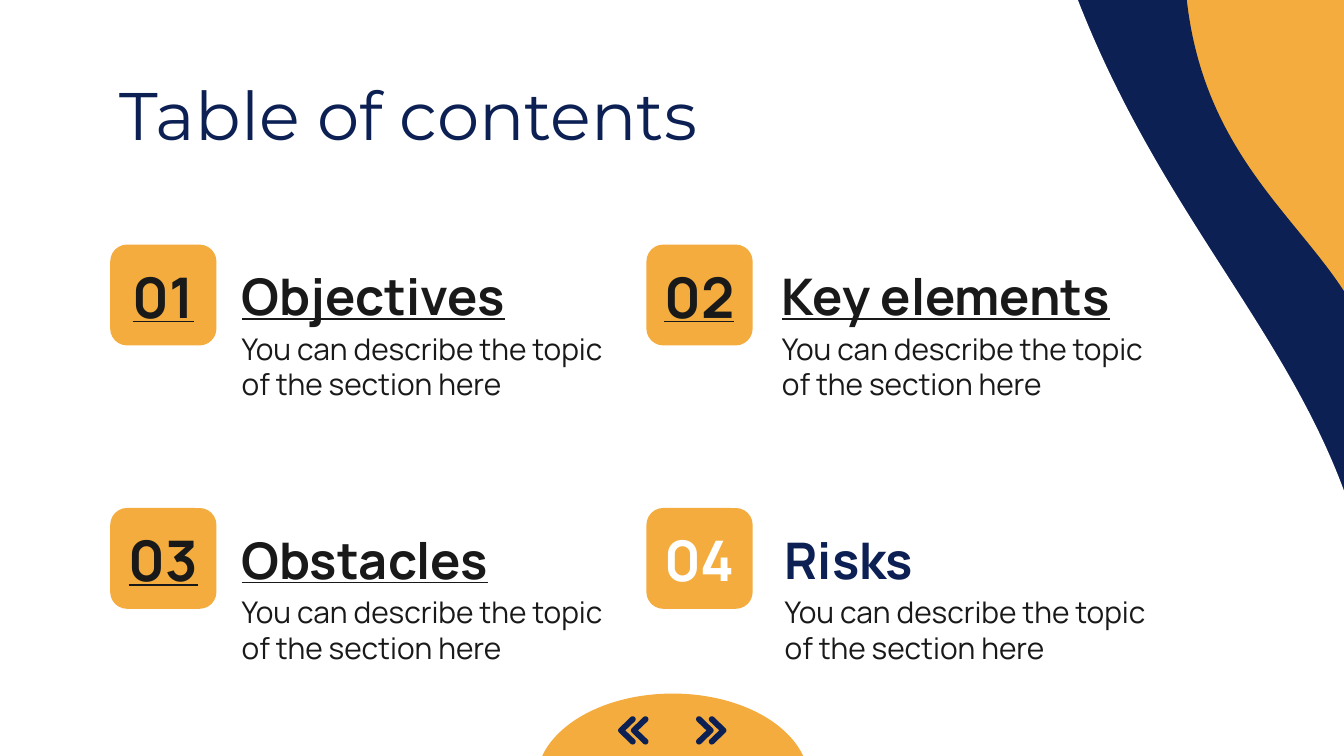
from dataclasses import dataclass
from math import cos, radians, sin, sqrt

from pptx import Presentation
from pptx.dml.color import RGBColor
from pptx.enum.shapes import MSO_SHAPE
from pptx.enum.text import MSO_ANCHOR, PP_ALIGN
from pptx.util import Inches, Pt

WAVE = MSO_SHAPE.FLOWCHART_DOCUMENT
ROUNDED = MSO_SHAPE.ROUNDED_RECTANGLE
PIE = MSO_SHAPE.PIE
MIDDLE = MSO_ANCHOR.MIDDLE
LEFT, CENTER = PP_ALIGN.LEFT, PP_ALIGN.CENTER

# The slide is a grid of 100 square columns; boxes are (left, top, width, height)
SLIDE_W = Inches(10)
SLIDE_H = SLIDE_W * 9 // 16
UNIT = SLIDE_W // 100


@dataclass(frozen=True)
class Theme:
    orange: RGBColor = RGBColor(0xF3, 0xAC, 0x3D)
    navy: RGBColor = RGBColor(0x0C, 0x20, 0x54)
    white: RGBColor = RGBColor(0xFF, 0xFF, 0xFF)
    ink: RGBColor = RGBColor(0x19, 0x19, 0x19)
    heading_font: str = "Montserrat"
    body_font: str = "Manrope"
    heading_size: int = 36
    number_size: int = 30
    topic_size: int = 27
    detail_size: int = 16


THEME = Theme()
DETAIL = "You can describe the topic of the section here"

# Number, topic, left of the texts within the entry, number colour, topic colour, linked
ENTRIES = [
    ("01", "Objectives", 8.8, THEME.ink, THEME.ink, True),
    ("02", "Key elements", 9.1, THEME.ink, THEME.ink, True),
    ("03", "Obstacles", 8.8, THEME.ink, THEME.ink, True),
    ("04", "Risks", 9.3, THEME.white, THEME.navy, False),
]


def to_emu(lengths):
    return [round(length * UNIT) for length in lengths]


def paint(shape, color):
    shape.shadow.inherit = False
    shape.fill.solid()
    shape.fill.fore_color.rgb = color
    shape.line.fill.background()


def add_block(slide, kind, box, color, rotation=0):
    block = slide.shapes.add_shape(kind, *to_emu(box))
    block.rotation = rotation
    paint(block, color)
    return block


def add_label(slide, box, text, size, color, font=THEME.body_font,
              bold=False, underline=False, align=LEFT):
    label = slide.shapes.add_textbox(*to_emu(box))
    frame = label.text_frame
    frame.word_wrap = True
    frame.vertical_anchor = MIDDLE
    frame.margin_left = frame.margin_right = UNIT
    frame.margin_top = frame.margin_bottom = UNIT
    frame.text = text
    paragraph = frame.paragraphs[0]
    paragraph.alignment = align
    style = paragraph.runs[0].font
    style.name, style.size = font, Pt(size)
    style.bold, style.underline = bold, underline
    style.color.rgb = color


def add_backdrop(slide):
    # Orange ground under a navy wave and a white wave
    slide.background.fill.solid()
    slide.background.fill.fore_color.rgb = THEME.orange
    add_block(slide, WAVE, (46.6, -13.7, 43.6, 69.3), THEME.navy, 267)
    add_block(slide, WAVE, (-5.6, -27.4, 101.3, 114.2), THEME.white, 264.8)


def add_entry(slide, left, top, entry):
    number, topic, indent, number_color, topic_color, linked = entry
    # Numbered tile
    add_block(slide, ROUNDED, (left, top, 7.9, 7.5), THEME.orange)
    add_label(slide, (left - 0.15, top + 0.9, 8.2, 5.8), number,
              THEME.number_size, number_color, bold=True, underline=linked, align=CENTER)
    # Topic and its description
    add_label(slide, (left + indent, top + 0.9, 29.4, 5.8), topic,
              THEME.topic_size, topic_color, bold=True, underline=linked)
    add_label(slide, (left + indent, top + 6.4, 29.4, 5.3), DETAIL,
              THEME.detail_size, THEME.ink)


def add_contents(slide, left, top, column_step, row_step):
    for index, entry in enumerate(ENTRIES):
        row, column = divmod(index, 2)
        add_entry(slide, left + column * column_step, top + row * row_step, entry)


def add_chevron(slide, left, top, width, height, direction):
    """Draw a chevron with round ends; direction is 1 for right, -1 for left."""
    radius = 0.22
    tip_x = width - radius
    # Each round corner: centre, first angle, last angle
    corners = [
        (radius, radius, 135, 315),
        (tip_x, height / 2, -45, 45),
        (radius, height - radius, 45, 225),
    ]
    outline = [
        (x + radius * cos(radians(angle)), y + radius * sin(radians(angle)))
        for x, y, first, last in corners
        for angle in range(first, last + 1, 15)
    ]
    outline.append((tip_x - radius * sqrt(2), height / 2))
    middle = left + width / 2
    points = [
        to_emu((middle + direction * (x - width / 2), top + y)) for x, y in outline
    ]
    builder = slide.shapes.build_freeform(*points[0])
    builder.add_line_segments(points[1:], close=True)
    paint(builder.convert_to_shape(), THEME.navy)


def add_navigation(slide, left, top, width, height):
    # Half dome rising from the bottom edge
    dome = add_block(slide, PIE, (left, top, width, height), THEME.orange, 180)
    dome.adjustments[0] = 0
    dome.adjustments[1] = 108  # half a turn, in units of 100000/60000 degrees
    # Double chevrons pointing back and forward
    for offset, direction in ((6.1, -1), (7.05, -1), (11.9, 1), (12.85, 1)):
        add_chevron(slide, left + offset, top + 1.7, 1.3, 2.1, direction)


def build_contents_slide(slide):
    add_backdrop(slide)
    add_label(slide, (7.9, 5.8, 84.3, 5.3), "Table of contents",
              THEME.heading_size, THEME.navy, THEME.heading_font)
    add_contents(slide, left=8.2, top=18.2, column_step=39.9, row_step=19.6)
    add_navigation(slide, 39.9, 51.6, 20.3, 13.1)


def main():
    deck = Presentation()
    deck.slide_width, deck.slide_height = SLIDE_W, SLIDE_H
    build_contents_slide(deck.slides.add_slide(deck.slide_layouts[6]))
    deck.save("out.pptx")


if __name__ == "__main__":
    main()
